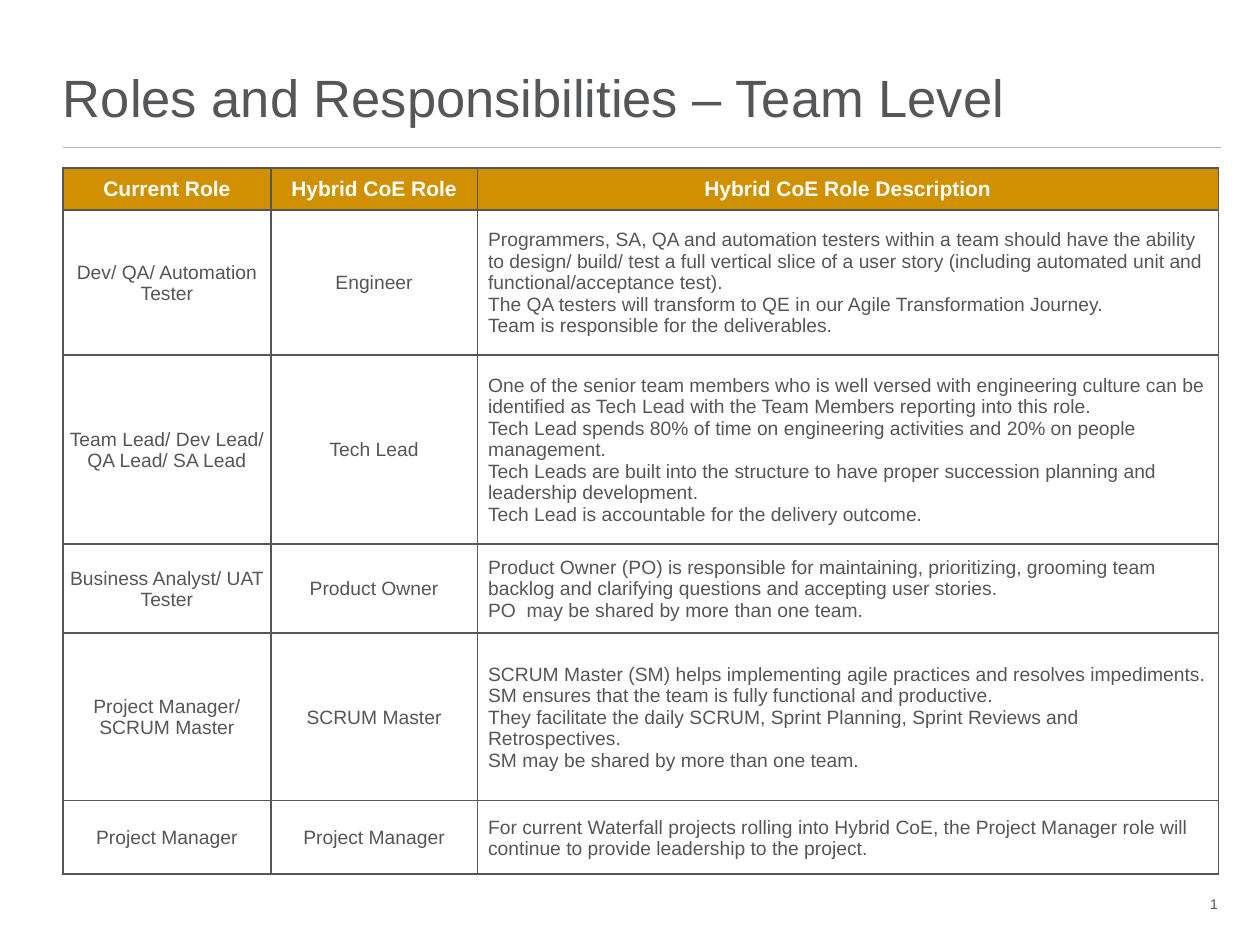
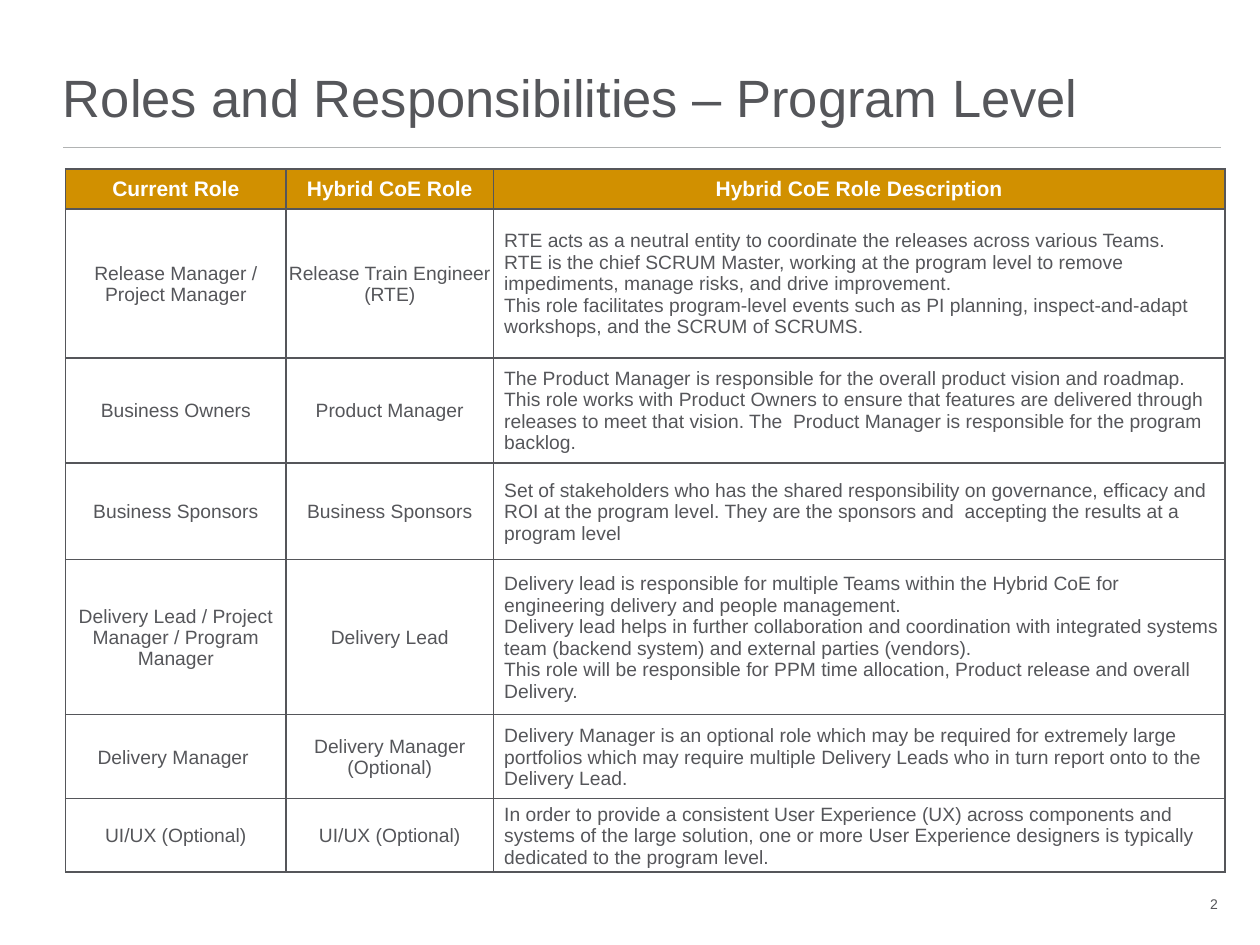
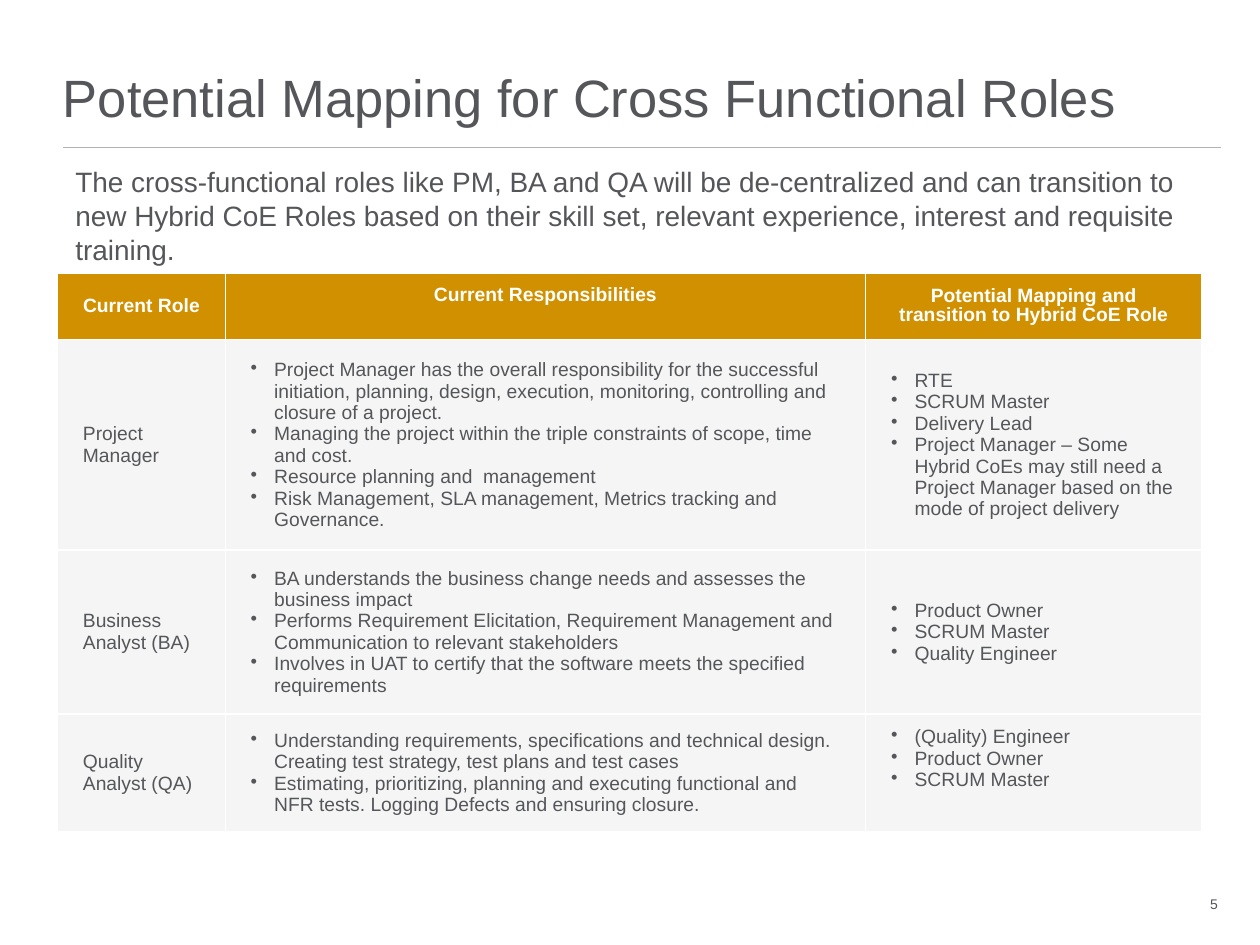
from dataclasses import dataclass

from lxml.etree import SubElement
from pptx import Presentation
from pptx.dml.color import RGBColor
from pptx.enum.shapes import MSO_CONNECTOR
from pptx.enum.text import MSO_ANCHOR, PP_ALIGN
from pptx.oxml.ns import qn
from pptx.util import Pt


@dataclass(frozen=True)
class Theme:
    font: str = "Arial"
    text: str = "55565A"
    white: str = "FFFFFF"
    gold: str = "D19000"
    pale: str = "F5F5F5"
    rule: str = "B1B3B3"
    title_size: float = 30
    intro_size: float = 16
    head_size: float = 12
    body_size: float = 11
    number_size: float = 8


@dataclass(frozen=True)
class TableStyle:
    border: str
    border_width: float
    margins: tuple  # left, top, right, bottom
    head_size: float
    body_fill: str = None
    head_spacing: float = 1.0


T = Theme()
GRID = TableStyle(T.text, 1, (0.72, 0.72, 0.72, 0), T.head_size)
SHADED = TableStyle(T.white, 0.75, (14.4, 7.2, 14.4, 7.2), T.body_size,
                    body_fill=T.pale, head_spacing=0.9)

# Paragraph formats of the body columns
CENTERED = dict(align=PP_ALIGN.CENTER)
INDENTED = dict(indent=5.4)
PLAIN = {}
BULLETED = dict(indent=13.5, hanging=13.5, bullet="•")

ROLE_HEADS = ["Current Role", "Hybrid CoE Role", "Hybrid CoE Role Description"]

TEAM_ROLES = [
    ("Dev/ QA/ Automation Tester", "Engineer", [
        "Programmers, SA, QA and automation testers within a team should have the ability to "
        "design/ build/ test a full vertical slice of a user story (including automated unit "
        "and functional/acceptance test).",
        "The QA testers will transform to QE in our Agile Transformation Journey.",
        "Team is responsible for the deliverables."]),
    ("Team Lead/ Dev Lead/ QA Lead/ SA Lead", "Tech Lead", [
        "One of the senior team members who is well versed with engineering culture can be "
        "identified as Tech Lead with the Team Members reporting into this role.",
        "Tech Lead spends 80% of time on engineering activities and 20% on people management.",
        "Tech Leads are built into the structure to have proper succession planning and "
        "leadership development.",
        "Tech Lead is accountable for the delivery outcome."]),
    ("Business Analyst/ UAT Tester", "Product Owner",
        "Product Owner (PO) is responsible for maintaining, prioritizing, grooming team "
        "backlog and clarifying questions and accepting user stories.\n"
        "PO  may be shared by more than one team."),
    ("Project Manager/ SCRUM Master", "SCRUM Master", [
        "SCRUM Master (SM) helps implementing agile practices and resolves impediments.",
        "SM ensures that the team is fully functional and productive.",
        "They facilitate the daily SCRUM, Sprint Planning, Sprint Reviews and Retrospectives.",
        "SM may be shared by more than one team."]),
    ("Project Manager", "Project Manager",
        "For current Waterfall projects rolling into Hybrid CoE, the Project Manager role will "
        "continue to provide leadership to the project."),
]

PROGRAM_ROLES = [
    ("Release Manager / Project Manager", "Release Train Engineer (RTE)", [
        "RTE acts as a neutral entity to coordinate the releases across various Teams.",
        "RTE is the chief SCRUM Master, working at the program level to remove impediments, "
        "manage risks, and drive improvement.",
        "This role facilitates program-level events such as PI planning, inspect-and-adapt "
        "workshops, and the SCRUM of SCRUMS."]),
    ("Business Owners", "Product Manager",
        "The Product Manager is responsible for the overall product vision and roadmap. This "
        "role works with Product Owners to ensure that features are delivered through releases "
        "to meet that vision. The  Product Manager is responsible for the program backlog."),
    ("Business Sponsors", "Business Sponsors",
        "Set of stakeholders who has the shared responsibility on governance, efficacy and ROI "
        "at the program level. They are the sponsors and  accepting the results at a program "
        "level"),
    ("Delivery Lead / Project Manager / Program Manager", "Delivery Lead", [
        "Delivery lead is responsible for multiple Teams within the Hybrid CoE for engineering "
        "delivery and people management.",
        "Delivery lead helps in further collaboration and coordination with integrated systems "
        "team (backend system) and external parties (vendors).",
        "This role will be responsible for PPM time allocation, Product release and overall "
        "Delivery."]),
    ("Delivery Manager ", "Delivery Manager (Optional)",
        "Delivery Manager is an optional role which may be required for extremely large "
        "portfolios which may require multiple Delivery Leads who in turn report onto to the "
        "Delivery Lead."),
    ("UI/UX (Optional)", "UI/UX (Optional)",
        "In order to provide a consistent User Experience (UX) across components and systems "
        "of the large solution, one or more User Experience designers is typically dedicated "
        "to the program level."),
]

MAPPING_HEADS = ["Current Role", "Current Responsibilities",
                 "Potential Mapping and transition to Hybrid CoE Role"]

MAPPING_INTRO = ("The cross-functional roles like PM, BA and QA will be de-centralized and can "
                 "transition to new Hybrid CoE Roles based on their skill set, relevant "
                 "experience, interest and requisite training.")

MAPPINGS = [
    ("Project Manager", [
        "Project Manager has the overall responsibility for the successful initiation, "
        "planning, design, execution, monitoring, controlling and closure of a project.",
        "Managing the project within the triple constraints of scope, time and cost.",
        "Resource planning and  management",
        "Risk Management, SLA management, Metrics tracking and Governance."],
     ["RTE", "SCRUM Master", "Delivery Lead",
      "Project Manager – Some Hybrid CoEs may still need a Project Manager based on the mode "
      "of project delivery"]),
    ("Business Analyst (BA)", [
        "BA understands the business change needs and assesses the business impact",
        "Performs Requirement Elicitation, Requirement Management and Communication to "
        "relevant stakeholders",
        "Involves in UAT to certify that the software meets the specified requirements"],
     ["Product Owner", "SCRUM Master", "Quality Engineer"]),
    ("Quality Analyst (QA)", [
        "Understanding requirements, specifications and technical design. Creating test "
        "strategy, test plans and test cases",
        "Estimating, prioritizing, planning and executing functional and NFR tests. Logging "
        "Defects and ensuring closure."],
     ["(Quality) Engineer", "Product Owner", "SCRUM Master"]),
]


def write(tf, text, size=T.body_size, color=T.text, bold=False, align=PP_ALIGN.LEFT,
          spacing=1.0, indent=0, hanging=0, bullet=None):
    """Fill a text frame with one string or a list of paragraphs."""
    for i, para in enumerate([text] if isinstance(text, str) else text):
        p = tf.add_paragraph() if i else tf.paragraphs[0]
        p.alignment, p.line_spacing = align, spacing
        pPr = p._p.get_or_add_pPr()
        pPr.set("marL", str(int(Pt(indent))))
        pPr.set("indent", str(-int(Pt(hanging))))
        if bullet:
            SubElement(pPr, qn("a:buChar"), char=bullet)
        for j, line in enumerate(para.split("\n")):
            if j:
                p.add_line_break()
            r = p.add_run()
            r.text = line
            r.font.name, r.font.size, r.font.bold = T.font, Pt(size), bold
            r.font.color.rgb = RGBColor.from_string(color)


def add_text(slide, box, text, anchor=MSO_ANCHOR.TOP, margins=(0, 0, 0, 0), **fmt):
    tf = slide.shapes.add_textbox(*map(Pt, box)).text_frame
    tf.word_wrap = True
    tf.vertical_anchor = anchor
    tf.margin_left, tf.margin_top, tf.margin_right, tf.margin_bottom = map(Pt, margins)
    write(tf, text, **fmt)


def add_frame(slide, box, title, number):
    """Title, rule below it and page number, within the content box."""
    x, y, w, h = box
    add_text(slide, (x, y, w, 49), title, anchor=MSO_ANCHOR.BOTTOM, size=T.title_size)
    rule = slide.shapes.add_connector(MSO_CONNECTOR.STRAIGHT, Pt(x), Pt(y + 60.25),
                                      Pt(x + w), Pt(y + 60.25))
    rule.line.color.rgb = RGBColor.from_string(T.rule)
    rule.line.width = Pt(1)
    SubElement(rule._element.spPr, qn("a:effectLst"))
    add_text(slide, (x + w - 31.5, y + h - 19.5, 30, 19.5), str(number),
             anchor=MSO_ANCHOR.MIDDLE, size=T.number_size, align=PP_ALIGN.RIGHT)


def style_cell(cell, style, fill, anchor):
    cell.vertical_anchor = anchor
    (cell.margin_left, cell.margin_top,
     cell.margin_right, cell.margin_bottom) = map(Pt, style.margins)
    # Borders come before the fill in the cell properties
    tcPr = cell._tc.get_or_add_tcPr()
    for side in "LRTB":
        ln = SubElement(tcPr, qn(f"a:ln{side}"), w=str(int(Pt(style.border_width))))
        SubElement(SubElement(ln, qn("a:solidFill")), qn("a:srgbClr"), val=style.border)
    if fill:
        cell.fill.solid()
        cell.fill.fore_color.rgb = RGBColor.from_string(fill)
    else:
        cell.fill.background()


def add_role_table(slide, origin, widths, heights, heads, rows, style, formats, top_cells=()):
    """Gold header row and body rows; formats holds one paragraph format per column."""
    x, y = origin
    box = (x, y, sum(widths), sum(heights))
    table = slide.shapes.add_table(len(heights), len(widths), *map(Pt, box)).table
    table.horz_banding = False
    for col, width in zip(table.columns, widths):
        col.width = Pt(width)
    for row, height in zip(table.rows, heights):
        row.height = Pt(height)
    head_format = dict(size=style.head_size, color=T.white, bold=True,
                       align=PP_ALIGN.CENTER, spacing=style.head_spacing)
    for i, texts in enumerate([heads, *rows]):
        for j, text in enumerate(texts):
            cell = table.cell(i, j)
            anchor = MSO_ANCHOR.TOP if (i, j) in top_cells else MSO_ANCHOR.MIDDLE
            style_cell(cell, style, style.body_fill if i else T.gold, anchor)
            write(cell.text_frame, text, **(formats[j] if i else head_format))


def add_slide(prs, title, number):
    slide = prs.slides.add_slide(prs.slide_layouts[6])
    add_frame(slide, (36, 24, 661.5, 502.5), title, number)
    return slide


def main():
    prs = Presentation()
    prs.slide_width, prs.slide_height = Pt(720), Pt(540)
    role_formats = [CENTERED, CENTERED, INDENTED]

    # Team level
    slide = add_slide(prs, "Roles and Responsibilities – Team Level", 1)
    add_role_table(slide, (36, 96), (118.8, 118, 423.4), (24, 82.8, 108, 51, 95.8, 42),
                   ROLE_HEADS, TEAM_ROLES, GRID, role_formats)

    # Program level
    slide = add_slide(prs, "Roles and Responsibilities – Program Level", 2)
    add_role_table(slide, (37.5, 96.5), (126, 118.5, 418), (23, 85, 60, 55.4, 88.6, 48, 42),
                   ROLE_HEADS, PROGRAM_ROLES, GRID, role_formats)

    # Cross functional mapping
    slide = add_slide(prs, "Potential Mapping for Cross Functional Roles", 5)
    add_role_table(slide, (33, 156), (95.8, 366, 192), (36, 112, 87.5, 63.5),
                   MAPPING_HEADS, MAPPINGS, SHADED, [PLAIN, BULLETED, BULLETED],
                   top_cells={(0, 1), (3, 2)})
    add_text(slide, (36, 90.75, 648, 65.5), MAPPING_INTRO, margins=(7.2, 3.6, 7.2, 3.6),
             size=T.intro_size)

    prs.save("out.pptx")


if __name__ == "__main__":
    main()
